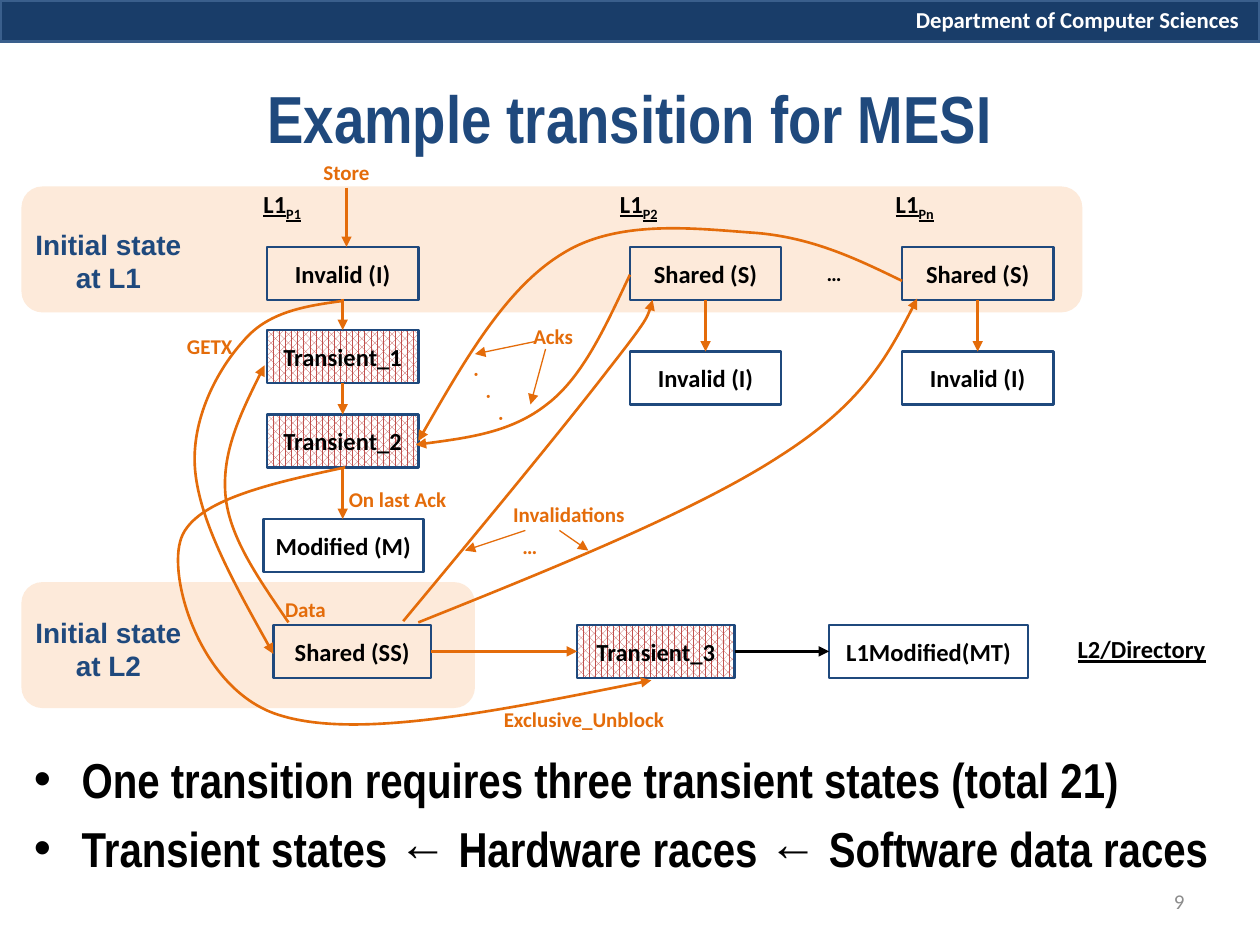
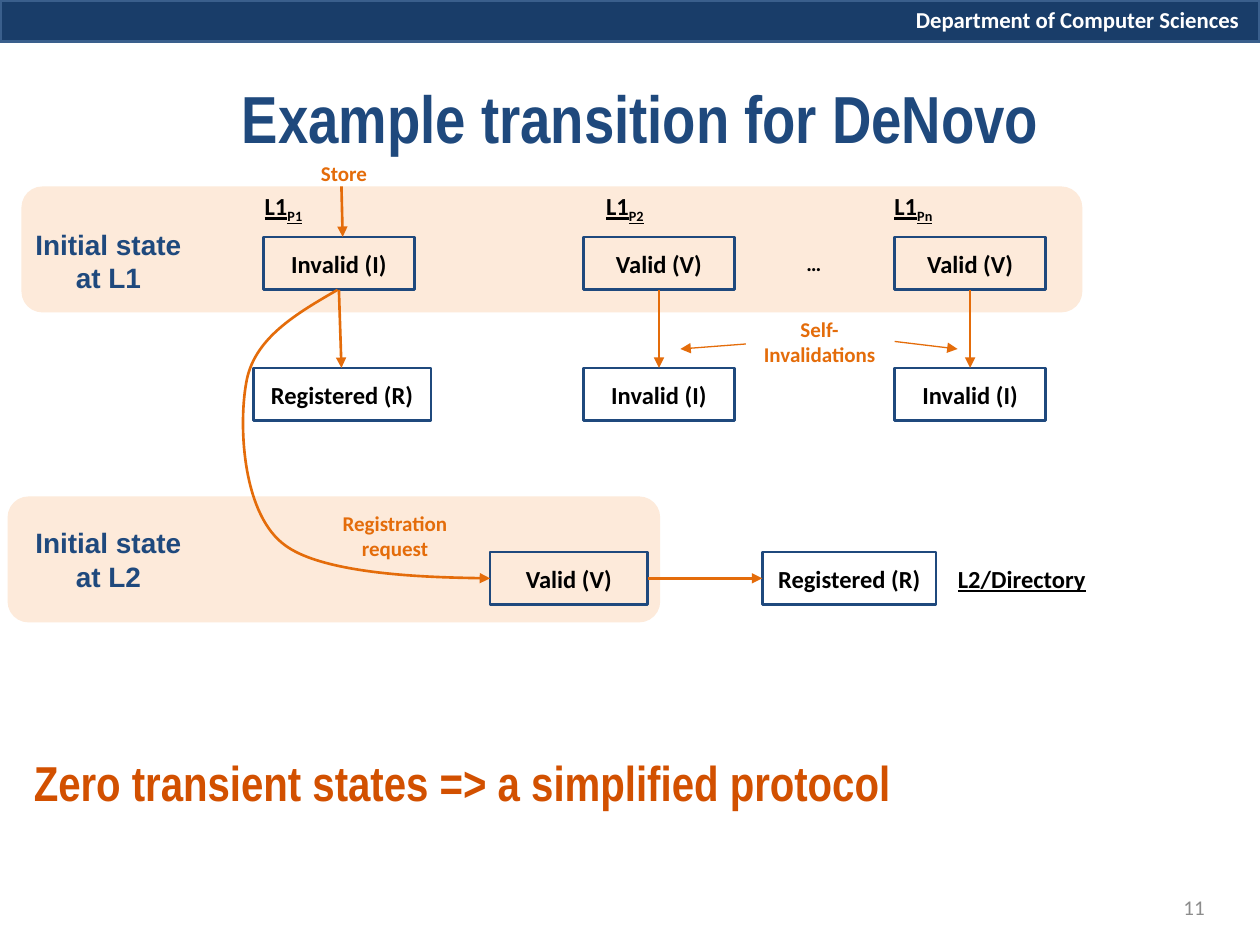
"""Build two slides comparing coherence protocol transitions."""
from dataclasses import dataclass

from lxml import etree
from pptx import Presentation
from pptx.dml.color import RGBColor
from pptx.enum.dml import MSO_PATTERN
from pptx.enum.shapes import MSO_CONNECTOR, MSO_SHAPE
from pptx.enum.text import MSO_ANCHOR, PP_ALIGN
from pptx.oxml.ns import qn
from pptx.util import Inches, Pt

STRAIGHT = MSO_CONNECTOR.STRAIGHT
RECTANGLE, ROUNDED = MSO_SHAPE.RECTANGLE, MSO_SHAPE.ROUNDED_RECTANGLE
HATCH = MSO_PATTERN.PERCENT_70
MIDDLE, TOP = MSO_ANCHOR.MIDDLE, MSO_ANCHOR.TOP
LEFT, CENTER, RIGHT = PP_ALIGN.LEFT, PP_ALIGN.CENTER, PP_ALIGN.RIGHT

COLORS = {
    "band": "193D69", "band_line": "3A5F8C", "white": "FFFFFF",
    "zone": "FDEADA", "navy": "1F497D", "black": "000000",
    "orange": "E46C0A", "hatch": "C0504D", "gray": "8C8C8C",
    "conclusion": "D25000",
}


@dataclass(frozen=True)
class Style:
    """Font, colour and placement of one kind of text."""
    name: str
    size: float
    color: str
    bold: bool = True
    underline: bool = False
    align: PP_ALIGN = CENTER
    anchor: MSO_ANCHOR = MIDDLE
    inset: float = 0
    space_before: float = 0
    bullet: bool = False


STYLES = {
    "header": Style("Calibri", 13, "white", align=LEFT, anchor=TOP, inset=0.1),
    "title": Style("Arial Narrow", 38, "navy", inset=0.1),
    "bullets": Style("Arial Narrow", 28, "black", align=LEFT, anchor=TOP,
                     inset=0.1, space_before=5.6, bullet=True),
    "conclusion": Style("Arial Narrow", 28, "conclusion", align=LEFT,
                        anchor=TOP, inset=0.1, space_before=5.6),
    "number": Style("Calibri", 12, "gray", bold=False, align=RIGHT, inset=0.1),
    "zone": Style("Arial", 16, "navy"),
    "state": Style("Calibri", 14, "black"),
    "cache": Style("Calibri", 14, "black", underline=True),
    "message": Style("Calibri", 12, "orange"),
    "ellipsis": Style("Calibri", 12, "black"),
}


@dataclass(frozen=True)
class Zone:
    """Tinted area that holds the initial states of one cache level."""
    left: float
    top: float
    width: float


@dataclass(frozen=True)
class State:
    """Outlined box with a coherence state; transient ones are hatched."""
    text: str
    left: float
    top: float
    width: float = 1.2
    transient: bool = False


@dataclass(frozen=True)
class Label:
    """Free text; each line becomes a paragraph."""
    text: str
    left: float
    top: float
    width: float
    style: str = "message"
    height: float = 0.42
    subscript: str = ""
    rotation: float = 0


@dataclass(frozen=True)
class Arrow:
    """Straight arrow between two points."""
    start: tuple[float, float]
    end: tuple[float, float]
    width: float = 1.5
    color: str = "orange"


@dataclass(frozen=True)
class Curve:
    """Curved arrow: a start point, then three Bezier points a segment."""
    points: list[tuple[float, float]]


def rgb(name):
    """Return a named colour."""
    return RGBColor.from_string(COLORS[name])


def write_text(shape, text: str, style: Style, subscript: str = "") -> None:
    """Fill a shape with paragraphs in the given style."""
    frame = shape.text_frame
    settings = {"word_wrap": True, "vertical_anchor": style.anchor,
                "margin_left": Inches(style.inset),
                "margin_right": Inches(style.inset)}
    for name, value in settings.items():
        setattr(frame, name, value)
    font_values = {"name": style.name, "size": Pt(style.size),
                   "bold": style.bold, "underline": style.underline}
    for index, line in enumerate(text.split("\n")):
        paragraph = frame.add_paragraph() if index else frame.paragraphs[0]
        paragraph.alignment = style.align
        paragraph.space_before = Pt(style.space_before)
        if style.bullet:
            properties = paragraph._p.get_or_add_pPr()
            properties.set("marL", str(Inches(0.38)))
            properties.set("indent", str(-Inches(0.38)))
            etree.SubElement(properties, qn("a:buFont"), typeface="Arial")
            etree.SubElement(properties, qn("a:buChar"), char="•")
        for part in filter(None, (line, subscript)):
            run = paragraph.add_run()
            run.text = part
            for name, value in font_values.items():
                setattr(run.font, name, value)
            run.font.color.rgb = rgb(style.color)
            if part == subscript:
                run._r.get_or_add_rPr().set("baseline", "-25000")


def set_line(shape, color: str, width: float, arrow: bool = False) -> None:
    """Set a line's colour and width, with an arrowhead at its end if asked."""
    shape.line.color.rgb = rgb(color)
    shape.line.width = Pt(width)
    if arrow:
        etree.SubElement(shape.line._get_or_add_ln(), qn("a:tailEnd"),
                         type="triangle")


def add_box(slide, kind, left: float, top: float, width: float, height: float,
            fill: str = ""):
    """Add a preset shape without shadow or line, and return it."""
    shape = slide.shapes.add_shape(
        kind, *(Inches(length) for length in (left, top, width, height)))
    shape.shadow.inherit = False
    shape.line.fill.background()
    if fill:
        shape.fill.solid()
        shape.fill.fore_color.rgb = rgb(fill)
    else:
        shape.fill.background()
    return shape


def add_state(slide, state: State) -> None:
    """Draw a state box."""
    shape = add_box(slide, RECTANGLE, state.left, state.top, state.width, 0.42)
    if state.transient:
        shape.fill.patterned()
        shape.fill.pattern = HATCH
        shape.fill.fore_color.rgb = rgb("hatch")
        shape.fill.back_color.rgb = rgb("white")
    set_line(shape, "navy", 1.5)
    write_text(shape, state.text, STYLES["state"])


def add_label(slide, label: Label) -> None:
    """Draw a text box."""
    shape = slide.shapes.add_textbox(
        Inches(label.left), Inches(label.top),
        Inches(label.width), Inches(label.height))
    shape.rotation = label.rotation
    write_text(shape, label.text, STYLES[label.style], label.subscript)


def add_arrow(slide, arrow: Arrow) -> None:
    """Draw a straight arrow."""
    connector = slide.shapes.add_connector(
        STRAIGHT, *(Inches(value) for value in arrow.start + arrow.end))
    set_line(connector, arrow.color, arrow.width, arrow=True)
    etree.SubElement(connector._element.spPr, qn("a:effectLst"))


def add_curve(slide, curve: Curve) -> None:
    """Draw a freeform, turning each three line points into a Bezier segment."""
    start, *others = [(Inches(x), Inches(y)) for x, y in curve.points]
    builder = slide.shapes.build_freeform(*start)
    builder.add_line_segments(others, close=False)
    shape = builder.convert_to_shape()
    segments = list(shape._element.iter(qn("a:lnTo")))
    for index in range(0, len(segments), 3):
        bezier = etree.Element(qn("a:cubicBezTo"))
        segments[index].addprevious(bezier)
        for segment in segments[index:index + 3]:
            bezier.append(segment[0])
            segment.getparent().remove(segment)
    shape.shadow.inherit = False
    shape.fill.background()
    set_line(shape, "orange", 1.5, arrow=True)


DRAWERS = {State: add_state, Label: add_label, Arrow: add_arrow,
           Curve: add_curve}


def add_slide(presentation, zones: list[Zone], items: list) -> None:
    """Add a slide with the department band, its zones and its items."""
    slide = presentation.slides.add_slide(presentation.slide_layouts[6])
    band = add_box(slide, RECTANGLE, 0, 0, 10, 0.33, "band")
    set_line(band, "band_line", 2)
    add_label(slide, Label("Department of Computer Sciences", 7.17, 0, 2.83,
                           "header", 0.32))
    for zone in zones:
        add_box(slide, ROUNDED, zone.left, zone.top, zone.width, 1, "zone")
    for item in items:
        DRAWERS[type(item)](slide, item)


def cache_labels(lefts: list[float], top: float, width: float) -> list[Label]:
    """Name the L1 cache of each processor."""
    return [Label("L1", left, top, width, "cache", subscript=processor)
            for left, processor in zip(lefts, ("P1", "P2", "Pn"))]


def sharer_columns(lefts: list[float], text: str, top: float,
                   next_top: float) -> list:
    """Return the columns of caches that go from a state to Invalid."""
    return [item for left in lefts for item in (
        State(text, left, top), State("Invalid (I)", left, next_top),
        Arrow((left + 0.6, top + 0.42), (left + 0.6, next_top)))]


def zone_labels(second_top: float) -> list[Label]:
    """Name the two zones of initial states."""
    return [Label(f"Initial state\nat {level}", 0.17, top, 1.38, "zone", 0.64)
            for level, top in (("L1", 1.75), ("L2", second_top))]


L1_ZONE = Zone(0.17, 1.48, 8.42)

MESI = [
    Label("Example transition for MESI", 0.5, 0.3, 9, "title", 1.25),
    Label("One transition requires three transient states (total 21)\n"
          "Transient states ← Hardware races ← Software data races",
          0.17, 5.9, 9.67, "bullets", 1.31),
    Label("9", 7.17, 6.95, 2.33, "number", 0.4),
    *zone_labels(4.83), *cache_labels([1.98, 4.81, 7], 1.42, 0.52),
    *sharer_columns([5, 7.16], "Shared (S)", 1.96, 2.79),
    State("Invalid (I)", 2.12, 1.96),
    State("Transient_1", 2.12, 2.62, transient=True),
    State("Transient_2", 2.12, 3.29, transient=True),
    State("Modified (M)", 2.09, 4.12, 1.27),
    State("Shared (SS)", 2.17, 4.96, 1.25),
    State("Transient_3", 4.58, 4.96, 1.25, transient=True),
    State("L1Modified(MT)", 6.58, 4.96, 1.58),
    Arrow((2.75, 1.49), (2.75, 1.96)),
    *(Arrow((2.72, top), (2.72, bottom))
      for top, bottom in ((2.37, 2.62), (3.04, 3.29), (3.71, 4.12))),
    Arrow((3.42, 5.17), (4.58, 5.17)),
    Arrow((5.83, 5.17), (6.58, 5.17), color="black"),
    Arrow((4.17, 4.21), (3.69, 4.37), 0.75),
    Arrow((4.44, 4.21), (4.67, 4.37), 0.75),
    Arrow((4.25, 2.71), (3.77, 2.81), 0.75),
    Arrow((4.33, 2.77), (4.21, 3.21), 0.75),
    Curve([(3.32, 4.94), (4.42, 4.5), (5.53, 4.05), (6.19, 3.62),
           (6.85, 3.2), (7.07, 2.78), (7.28, 2.37)]),
    Curve([(3.2, 4.93), (3.85, 4.15), (4.5, 3.36), (4.83, 2.93),
           (5.16, 2.51), (5.17, 2.44), (5.18, 2.38)]),
    Curve([(7.16, 2.23), (6.81, 2.06), (6.46, 1.89), (6.01, 1.85),
           (5.56, 1.82), (4.92, 1.73), (4.47, 2.01),
           (4.02, 2.28), (3.67, 2.89), (3.32, 3.5)]),
    Curve([(2.74, 3.71), (2.13, 3.84), (1.51, 3.98), (1.43, 4.3),
           (1.34, 4.63), (1.61, 5.5), (2.23, 5.68),
           (2.85, 5.87), (4.01, 5.63), (5.17, 5.4)]),
    Curve([(2.29, 4.94), (2.06, 4.6), (1.82, 4.27), (1.79, 3.93),
           (1.76, 3.59), (1.93, 3.24), (2.1, 2.9)]),
    Curve([(5, 2.18), (4.81, 2.58), (4.63, 2.99), (4.34, 3.21),
           (4.06, 3.43), (3.68, 3.48), (3.3, 3.53)]),
    Curve([(2.71, 2.39), (2.41, 2.43), (2.12, 2.48), (1.93, 2.71),
           (1.73, 2.93), (1.51, 3.33), (1.55, 3.74),
           (1.59, 4.15), (1.88, 4.67), (2.17, 5.19)]),
    Label("Store", 2.46, 1.18, 0.58, height=0.37),
    Label("GETX", 1.25, 2.54, 0.83), Label("Acks", 4.1, 2.46, 0.58),
    Label(".\n.\n.", 3.56, 2.89, 0.58, rotation=330.8),
    Label("On last Ack", 2.6, 3.75, 1.11),
    Label("Invalidations", 3.96, 3.87, 1.11), Label("…", 3.91, 4.12, 0.59),
    Label("Data", 2.01, 4.62, 0.83),
    Label("Exclusive_Unblock", 3.85, 5.5, 1.57),
    Label("…", 6.33, 1.96, 0.58, "ellipsis"),
    Label("L2/Directory", 8.37, 4.94, 1.38, "cache"),
]

DENOVO = [
    Label("Example transition for DeNovo", 0.42, 0.3, 9.33, "title", 1.25),
    Label("Zero transient states => a simplified protocol",
          0.17, 5.92, 9.67, "conclusion", 1.17),
    Label("11", 7.33, 7, 2.33, "number", 0.4),
    *zone_labels(4.12), *cache_labels([1.92, 4.63, 6.92], 1.44, 0.66),
    *sharer_columns([4.63, 7.1], "Valid (V)", 1.88, 2.92),
    State("Invalid (I)", 2.09, 1.88), State("Registered (R)", 2.01, 2.92, 1.41),
    State("Valid (V)", 3.89, 4.38, 1.25),
    State("Registered (R)", 6.05, 4.38, 1.38),
    Arrow((2.71, 1.48), (2.72, 1.88)), Arrow((2.69, 2.3), (2.71, 2.92)),
    Arrow((5.92, 2.73), (5.4, 2.77), 0.75),
    Arrow((7.1, 2.71), (7.6, 2.77), 0.75),
    Arrow((5.14, 4.59), (6.05, 4.59)),
    Curve([(2.68, 2.3), (2.35, 2.49), (2.03, 2.68), (1.96, 3.01),
           (1.89, 3.35), (1.92, 4.05), (2.24, 4.31),
           (2.56, 4.58), (3.89, 4.59), (3.89, 4.59)]),
    Label("Store", 2.44, 1.16, 0.58),
    Label("Self-Invalidations", 5.92, 2.5, 1.17),
    Label("Registration request", 2.6, 4.05, 1.07, height=0.4),
    Label("…", 6.17, 1.88, 0.58, "ellipsis"),
    Label("L2/Directory", 7.43, 4.38, 1.36, "cache"),
]

presentation = Presentation()
presentation.slide_width, presentation.slide_height = Inches(10), Inches(7.5)
add_slide(presentation, [Zone(0.17, 4.62, 3.6), L1_ZONE], MESI)
add_slide(presentation, [Zone(0.06, 3.94, 5.18), L1_ZONE], DENOVO)
presentation.save("out.pptx")
